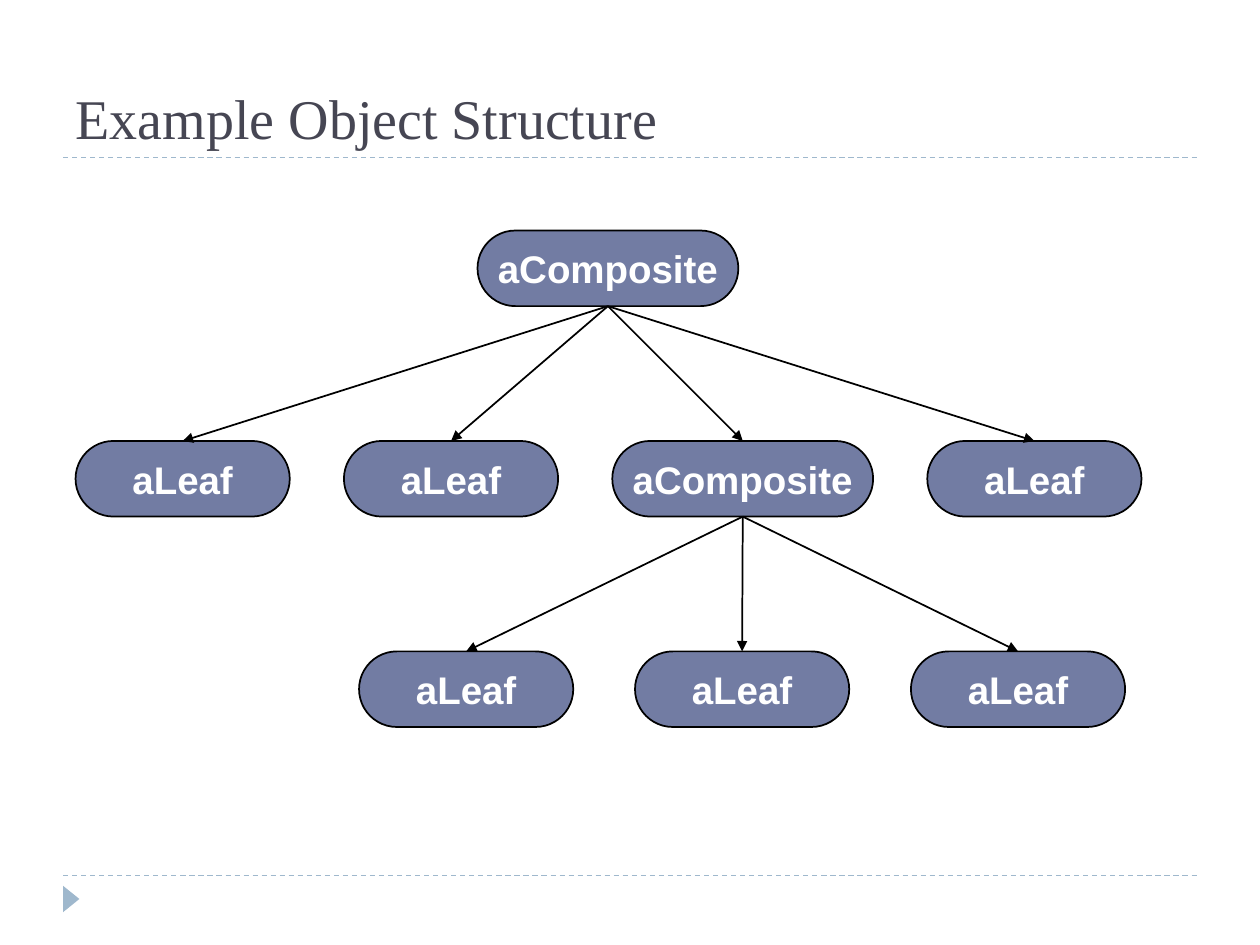
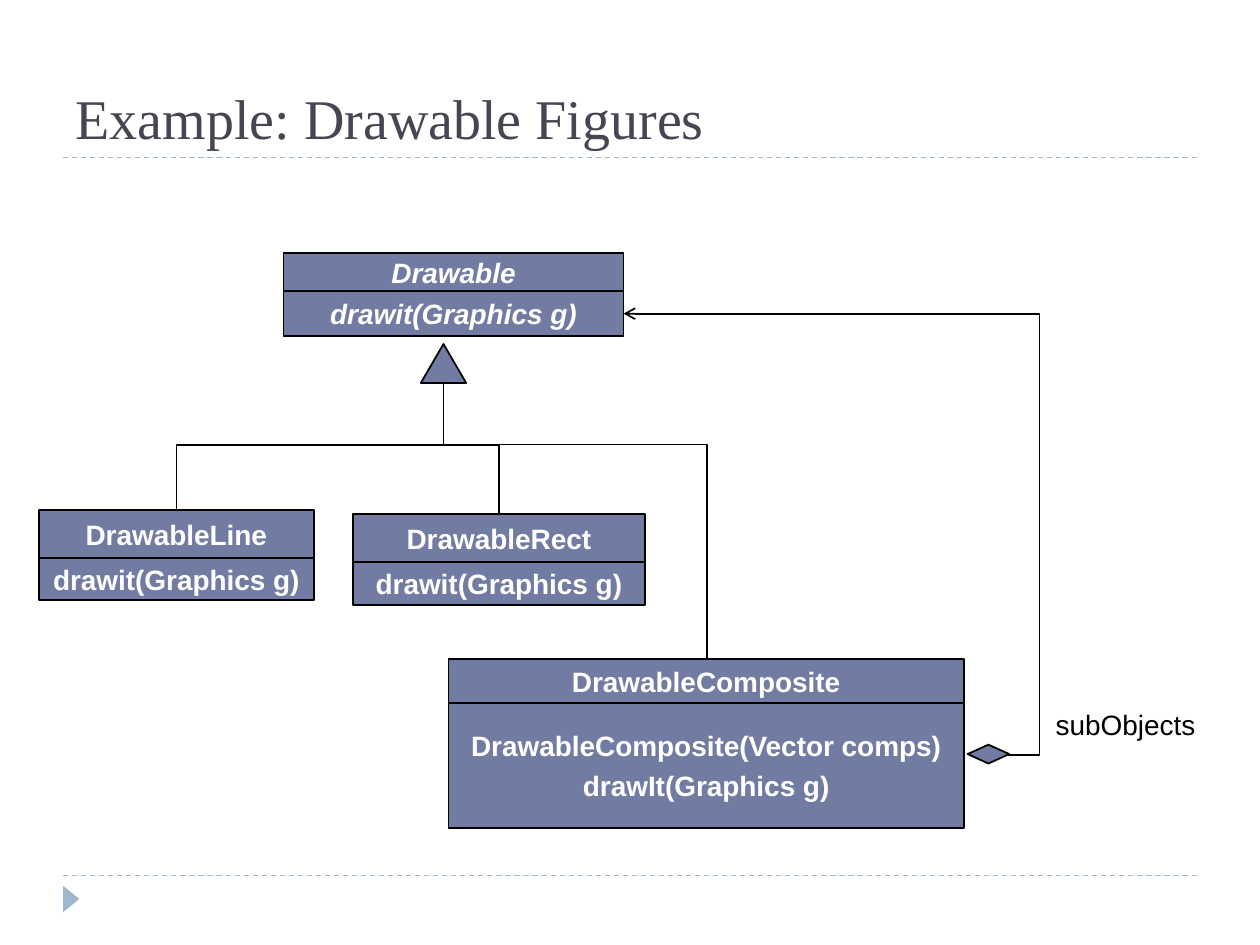
from lxml import etree
from pptx import Presentation
from pptx.dml.color import RGBColor
from pptx.enum.dml import MSO_LINE
from pptx.enum.shapes import MSO_CONNECTOR, MSO_SHAPE
from pptx.enum.text import MSO_ANCHOR, MSO_AUTO_SIZE, PP_ALIGN
from pptx.oxml.ns import qn
from pptx.util import Emu, Pt

STRAIGHT, ELBOW = MSO_CONNECTOR.STRAIGHT, MSO_CONNECTOR.ELBOW
RECT, PILL = MSO_SHAPE.RECTANGLE, MSO_SHAPE.ROUNDED_RECTANGLE
TRIANGLE, DIAMOND = MSO_SHAPE.ISOSCELES_TRIANGLE, MSO_SHAPE.DIAMOND
DASH = MSO_LINE.DASH
LEFT, CENTER = PP_ALIGN.LEFT, PP_ALIGN.CENTER
MIDDLE, BOTTOM = MSO_ANCHOR.MIDDLE, MSO_ANCHOR.BOTTOM
NO_FIT = MSO_AUTO_SIZE.NONE

PX = 9144  # 100 px to the inch
TITLE_ONLY = 5
TOP_SITE, BOTTOM_SITE = 0, 2


def px(*lengths):
    return [Emu(round(length * PX)) for length in lengths]


def color(hex_string):
    return RGBColor.from_string(hex_string)


class Deck:
    TITLE_FONT, BODY_FONT = "Times New Roman", "Arial"
    TITLE_INK, INK, PAPER = "464653", "000000", "FFFFFF"
    BOX_FILL, ACCENT = "727CA3", "9FB8CD"

    def __init__(self):
        self.prs = Presentation()
        self.prs.slide_width, self.prs.slide_height = px(1000, 750)
        self.slide = None

    def new_slide(self, heading):
        """Start a slide with the shared rules, corner marker and title."""
        self.slide = self.prs.slides.add_slide(self.prs.slide_layouts[TITLE_ONLY])
        for y in (695, 125):
            rule = self.connector(STRAIGHT, (50, y), (950, y))
            self.style_line(rule, self.ACCENT, 0.75, dash=DASH)
        marker = self.shape(TRIANGLE, 46, 707, 21, 13, fill=self.ACCENT, outline=None)
        marker.rotation = 90

        title = self.slide.shapes.title
        title.left, title.top, title.width, title.height = px(50, 25, 900, 100)
        frame = title.text_frame
        frame.auto_size, frame.vertical_anchor = NO_FIT, BOTTOM
        self.add_lines(frame, [heading], 32, self.TITLE_INK, font=self.TITLE_FONT, align=LEFT)

    def add_lines(self, frame, lines, size, ink, font=BODY_FONT, align=CENTER,
                  bold=False, italic=False, gap=0):
        for i, line in enumerate(lines):
            paragraph = frame.add_paragraph() if i else frame.paragraphs[0]
            paragraph.alignment = align
            if i:
                paragraph.space_before = Pt(gap)
            run = paragraph.add_run()
            run.text = line
            run.font.name, run.font.size = font, Pt(size)
            run.font.bold, run.font.italic = bold, italic
            run.font.color.rgb = color(ink)

    def shape(self, kind, x, y, w, h, fill=BOX_FILL, outline=INK):
        shape = self.slide.shapes.add_shape(kind, *px(x, y, w, h))
        shape.shadow.inherit = False
        shape.fill.solid()
        shape.fill.fore_color.rgb = color(fill)
        if outline:
            shape.line.color.rgb = color(outline)
            shape.line.width = Pt(1)
        else:
            shape.line.fill.background()
        return shape

    def box(self, kind, x, y, w, h, lines, size, italic=False):
        box = self.shape(kind, x, y, w, h)
        frame = box.text_frame
        frame.word_wrap, frame.vertical_anchor = False, MIDDLE
        self.add_lines(frame, lines, size, self.PAPER, bold=True, italic=italic, gap=4)
        return box

    def label(self, x, y, w, h, text):
        frame = self.slide.shapes.add_textbox(*px(x, y, w, h)).text_frame
        frame.word_wrap = True
        self.add_lines(frame, [text], 16, self.INK, align=LEFT)

    def connector(self, kind, start, end):
        return self.slide.shapes.add_connector(kind, *px(*start, *end))

    def style_line(self, connector, ink=INK, width=1, dash=None, arrow=None):
        connector.line.color.rgb = color(ink)
        connector.line.width = Pt(width)
        if dash:
            connector.line.dash_style = dash
        properties = connector.element.spPr
        if arrow:
            etree.SubElement(properties.find(qn("a:ln")), qn("a:tailEnd"), type=arrow)
        etree.SubElement(properties, qn("a:effectLst"))

    # Tree of objects
    def node(self, x, y, name):
        pill = self.box(PILL, x, y, node_width(name), 60, [name], 22)
        pill.adjustments[0] = 0.5
        return pill

    def node_row(self, x, y, gap, names):
        nodes = []
        for name in names:
            nodes.append(self.node(x, y, name))
            x += node_width(name) + gap
        return nodes

    def link(self, parent, child):
        arrow = self.connector(STRAIGHT, (0, 0), (0, 0))
        arrow.begin_connect(parent, BOTTOM_SITE)
        arrow.end_connect(child, TOP_SITE)
        self.style_line(arrow, arrow="triangle")

    # Class diagram
    def class_box(self, x, y, w, name, name_height, methods, methods_height, italic=False):
        self.box(RECT, x, y, w, name_height, [name], 16, italic)
        self.box(RECT, x, y + name_height, w, methods_height, methods, 16, italic)

    def elbow(self, start, end, turn, vertical=False, arrow=None):
        """Three-part line whose middle part lies at turn; vertical starts downwards."""
        (x1, y1), (x2, y2) = start, end
        share = (turn - x1) / (x2 - x1)
        if vertical:
            share = (turn - y1) / (y2 - y1)
            # Frame before it is rotated about its centre
            side = 1 if x2 > x1 else -1
            mid_x, mid_y = (x1 + x2) / 2, (y1 + y2) / 2
            half_w, half_h = (y2 - y1) / 2, abs(x2 - x1) / 2
            start = (mid_x + side * half_w, mid_y - half_h)
            end = (mid_x - side * half_w, mid_y + half_h)
        line = self.connector(ELBOW, start, end)
        properties = line.element.spPr
        if vertical:
            properties.xfrm.rot = 270 if side > 0 else 90
        guides = properties.find(qn("a:prstGeom")).find(qn("a:avLst"))
        etree.SubElement(guides, qn("a:gd"), name="adj1", fmla=f"val {round(share * 100000)}")
        self.style_line(line, arrow=arrow)


def node_width(name):
    return 207 if name == "aComposite" else 170


def object_structure(deck):
    deck.new_slide("Example Object Structure")
    root = deck.node(379, 183, "aComposite")
    children = deck.node_row(60, 350, 43, ["aLeaf", "aLeaf", "aComposite", "aLeaf"])
    grandchildren = deck.node_row(285, 517, 49, ["aLeaf"] * 3)
    for parent, family in ((root, children), (children[2], grandchildren)):
        for child in family:
            deck.link(parent, child)


def drawable_figures(deck):
    deck.new_slide("Example: Drawable Figures")
    draw = "drawit(Graphics g)"

    # Classes
    deck.class_box(225, 201, 270, "Drawable", 30, [draw], 36, italic=True)
    deck.class_box(31, 405, 218, "DrawableLine", 38, [draw], 33)
    deck.class_box(280, 408, 232, "DrawableRect", 38, [draw], 34)
    deck.class_box(356, 523, 409, "DrawableComposite", 35,
                   ["DrawableComposite(Vector comps)", "drawIt(Graphics g)"], 99)

    # Inheritance
    deck.shape(TRIANGLE, 334, 273, 36, 31)
    for subclass_top in ((140, 405), (396, 408), (561, 523)):
        deck.elbow((352, 303), subclass_top, 353, vertical=True)

    # Aggregation
    deck.shape(DIAMOND, 768, 591, 33, 15)
    deck.elbow((800, 599), (495, 249), 825, arrow="arrow")
    deck.label(828, 557, 172, 37, "subObjects")


def main():
    deck = Deck()
    object_structure(deck)
    drawable_figures(deck)
    deck.prs.save("out.pptx")


if __name__ == "__main__":
    main()
